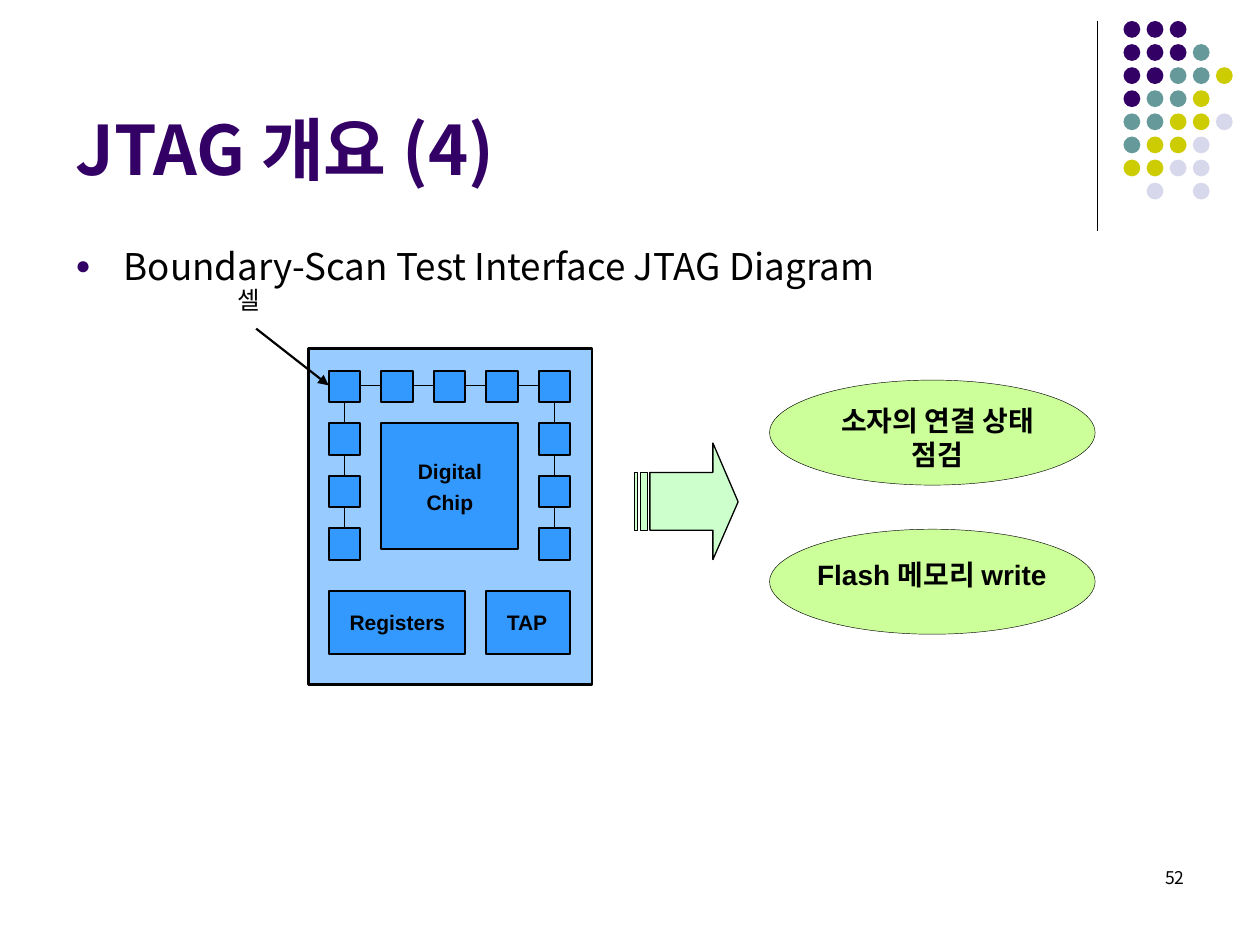
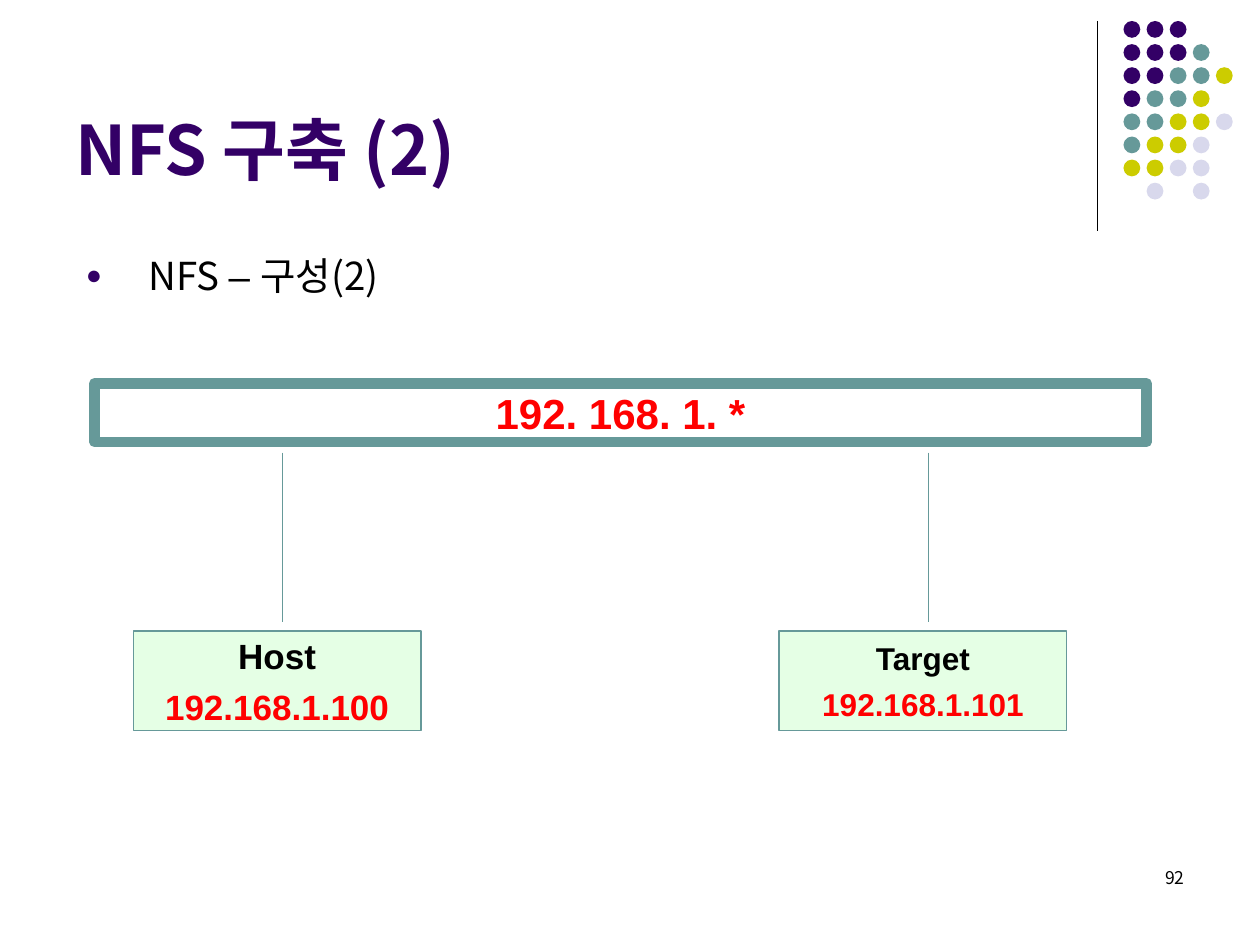
from itertools import pairwise

from lxml import etree
from pptx import Presentation
from pptx.dml.color import RGBColor
from pptx.enum.shapes import MSO_CONNECTOR, MSO_SHAPE
from pptx.enum.text import MSO_ANCHOR, PP_ALIGN
from pptx.oxml.ns import qn
from pptx.util import Pt

PX = 7620
RECT, ELLIPSE, PROCESS = MSO_SHAPE.RECTANGLE, MSO_SHAPE.OVAL, MSO_SHAPE.FLOWCHART_PROCESS
STRAIGHT = MSO_CONNECTOR.STRAIGHT
TOP, MIDDLE, BOTTOM = MSO_ANCHOR.TOP, MSO_ANCHOR.MIDDLE, MSO_ANCHOR.BOTTOM
LEFT, CENTER, RIGHT = PP_ALIGN.LEFT, PP_ALIGN.CENTER, PP_ALIGN.RIGHT
SANS, KOREAN = "Arial", "Noto Sans CJK KR"
COLORS = {
    "black": "000000",
    "red": "FF0000",
    "purple": "330066",
    "teal": "669999",
    "olive": "CCCC00",
    "lavender": "D8D8EC",
    "blue": "3399FF",
    "lime": "CCFF99",
    "mint": "CCFFCC",
}
DOT_COLORS = {"P": "purple", "T": "teal", "O": "olive", "L": "lavender"}
DOT_ROWS = ["PPP", "PPPT", "PPTTO", "PTTO", "TTOOL", "TOOL", "OOLL", ".L.L"]


def rgb(name):
    """Return the named colour."""
    return RGBColor.from_string(COLORS[name])


def add_element(parent, tag, **attributes):
    """Append a DrawingML element to its parent."""
    return etree.SubElement(parent, qn(tag), attributes)


class SlideBuilder:
    """Draws styled elements on the current slide, with lengths in px."""

    def __init__(self):
        """Open an empty deck of 10 by 7.5 inches."""
        self.deck = Presentation()
        self.deck.slide_width, self.deck.slide_height = 1200 * PX, 900 * PX
        self.shapes = None

    def page(self, title, number):
        """Start a slide with the shared line, dots, title and page number."""
        self.shapes = self.deck.slides.add_slide(self.deck.slide_layouts[6]).shapes
        self.line(1045, 20, 1045, 220)
        for row, letters in enumerate(DOT_ROWS):
            for column, letter in enumerate(letters):
                if letter in DOT_COLORS:
                    place = (1070 + 22 * column, 20 + 22 * row, 16, 16)
                    self.shape(ELLIPSE, place, DOT_COLORS[letter])
        self.text((860, 820, 280, 60), [str(number)], 10, font=KOREAN, align=RIGHT)
        self.text((60, 16, 990, 170), [title], 39, ["purple"], KOREAN, True, LEFT,
                  anchor=BOTTOM)

    def paint(self, shape, fill=None, line=None, width=0.75, alpha=None):
        """Set fill, outline and transparency of a shape."""
        shape.shadow.inherit = False
        if fill:
            shape.fill.solid()
            shape.fill.fore_color.rgb = rgb(fill)
            if alpha:
                color = shape._element.spPr.find(qn("a:solidFill"))[0]
                add_element(color, "a:alpha", val=str(alpha * 1000))
        else:
            shape.fill.background()
        if line:
            shape.line.color.rgb = rgb(line)
            shape.line.width = Pt(width)
        else:
            shape.line.fill.background()

    def shape(self, kind, place, fill=None, line=None, width=0.75, alpha=None):
        """Add a preset shape."""
        shape = self.shapes.add_shape(kind, *(length * PX for length in place))
        self.paint(shape, fill, line, width, alpha)
        return shape

    def outline(self, contours, fill, line):
        """Add one freeform made of closed contours."""
        builder = self.shapes.build_freeform(*contours[0][0], scale=PX)
        for index, (start, *points) in enumerate(contours):
            if index:
                builder.move_to(*start)
            builder.add_line_segments(points, close=True)
        self.paint(builder.convert_to_shape(), fill, line)

    def line(self, x1, y1, x2, y2, color="black", width=0.75, arrow=False):
        """Add a straight line, with an arrowhead if asked."""
        line = self.shapes.add_connector(STRAIGHT, x1 * PX, y1 * PX, x2 * PX, y2 * PX)
        line.line.color.rgb = rgb(color)
        line.line.width = Pt(width)
        properties = line._element.spPr
        if arrow:
            add_element(properties.find(qn("a:ln")), "a:tailEnd", type="triangle")
        add_element(properties, "a:effectLst")

    def text(self, place, lines, size, colors=("black",), font=SANS, bold=False,
             align=CENTER, **layout):
        """Add a text box."""
        box = self.shapes.add_textbox(*(length * PX for length in place))
        self.label(box, lines, size, colors, font, bold, align, **layout)

    def label(self, box, lines, size, colors=("black",), font=SANS, bold=False,
              align=CENTER, before=0, spacing=None, wrap=True, anchor=TOP, indent=0):
        """Fill a box; a line is a string or a list of (text, font) spans."""
        frame = box.text_frame
        frame.word_wrap = wrap
        frame.vertical_anchor = anchor
        for index, content in enumerate(lines):
            para = frame.add_paragraph() if index else frame.paragraphs[0]
            para.alignment = align
            para.line_spacing = spacing
            para.space_before = Pt(before if index else 0)
            if indent:
                self.bullet(para, indent)
            para.font.size = Pt(size)
            para.font.bold = bold
            para.font.name = font
            para.font.color.rgb = rgb(colors[index % len(colors)])
            add_element(para._p.pPr.find(qn("a:defRPr")), "a:ea", typeface=KOREAN)
            spans = [(content, None)] if isinstance(content, str) else content
            for words, span_font in spans:
                span = para.add_run()
                span.text = words
                if span_font:
                    span.font.name = span_font

    def bullet(self, para, indent):
        """Give a paragraph a hanging purple bullet."""
        properties = para._p.get_or_add_pPr()
        properties.set("marL", str(indent * PX))
        properties.set("indent", str(-indent * PX))
        add_element(add_element(properties, "a:buClr"), "a:srgbClr", val=COLORS["purple"])
        add_element(properties, "a:buSzPct", val="70000")
        add_element(properties, "a:buFont", typeface=SANS)
        add_element(properties, "a:buChar", char="●")


def draw_boundary_scan(builder):
    """Draw the boundary-scan chip and what it is used for."""
    builder.page("JTAG 개요 (4)", 52)
    builder.text((60, 226, 1080, 73), ["Boundary-Scan Test Interface JTAG Diagram"], 21,
                 font=KOREAN, align=LEFT, indent=46)

    uses = [
        (362, (733, 392, 320, 61), ["소자의 연결 상태", "점검"], 0.5),
        (504, (705, 534, 365, 41), ["Flash 메모리 write"], 0.7),
    ]
    for top, place, lines, spacing in uses:
        builder.shape(ELLIPSE, (733, top, 310, 100), "lime", "black", 0.25)
        builder.text(place, lines, 16, bold=True, before=10, spacing=spacing)

    head = [(679, 422), (679, 450), (619, 450), (619, 505), (679, 505), (679, 533),
            (703, 478)]
    bars = [[(left, 450), (left, 505), (right, 505), (right, 450)]
            for left, right in [(610, 617), (604, 607)]]
    builder.outline([head, *bars], "mint", "black")

    builder.shape(RECT, (294, 332, 270, 320), "blue", "black", 1.5, alpha=50)
    cell = 30
    columns = [313 + 50 * step for step in range(5)]
    rows = [353 + 50 * step for step in range(4)]
    sides = (columns[0], columns[-1])
    cells = [(x, rows[0]) for x in columns] + [(x, y) for x in sides for y in rows[1:]]
    blocks = [
        ((363, 403, 130, 120), (386, 431, 85, 65), ["Digital", "Chip"]),
        ((313, 563, 130, 60), (321, 575, 115, 36), ["Registers"]),
        ((463, 563, 80, 60), (470, 575, 64, 36), ["TAP"]),
    ]
    for x, y in cells:
        builder.shape(RECT, (x, y, cell, cell), "blue", "black", 1.25)
    for left, right in pairwise(columns):
        builder.line(left + cell, rows[0] + 14, right, rows[0] + 14)
    for x in sides:
        for upper, lower in pairwise(rows):
            builder.line(x + 15, upper + cell, x + 15, lower)
    for place, label_place, lines in blocks:
        builder.shape(RECT, place, "blue", "black", 1.25)
        builder.text(label_place, lines, 12, bold=True, before=3, wrap=False)

    builder.text((214, 266, 46, 41), ["셀"], 14, wrap=False)
    builder.line(244, 313, 313, 367, width=1.25, arrow=True)


def draw_network(builder):
    """Draw the host and the target on one network."""
    builder.page("NFS 구축 (2)", 92)
    heading = [("NFS ", None), ("– ", SANS), ("구성(2)", None)]
    builder.text((70, 234, 1039, 650), [heading], 22, font=KOREAN, align=LEFT, indent=60)

    network = builder.shape(RECT, (90, 365, 1002, 56), line="teal", width=6)
    builder.label(network, ["192. 168. 1. *"], 24, ["red"], bold=True, wrap=False,
                  anchor=MIDDLE)
    machines = [
        (127, "Host", "192.168.1.100", 20, 5),
        (742, "Target", "192.168.1.101", 18, 4.5),
    ]
    for left, name, address, size, before in machines:
        builder.line(left + 142, 431, left + 142, 592, "teal")
        machine = builder.shape(PROCESS, (left, 601, 274, 95), "mint", "teal", alpha=50)
        builder.label(machine, [name, address], size, ["black", "red"], bold=True,
                      before=before, wrap=False, anchor=MIDDLE)


def main():
    """Build and save the deck."""
    builder = SlideBuilder()
    draw_boundary_scan(builder)
    draw_network(builder)
    builder.deck.save("out.pptx")


if __name__ == "__main__":
    main()
